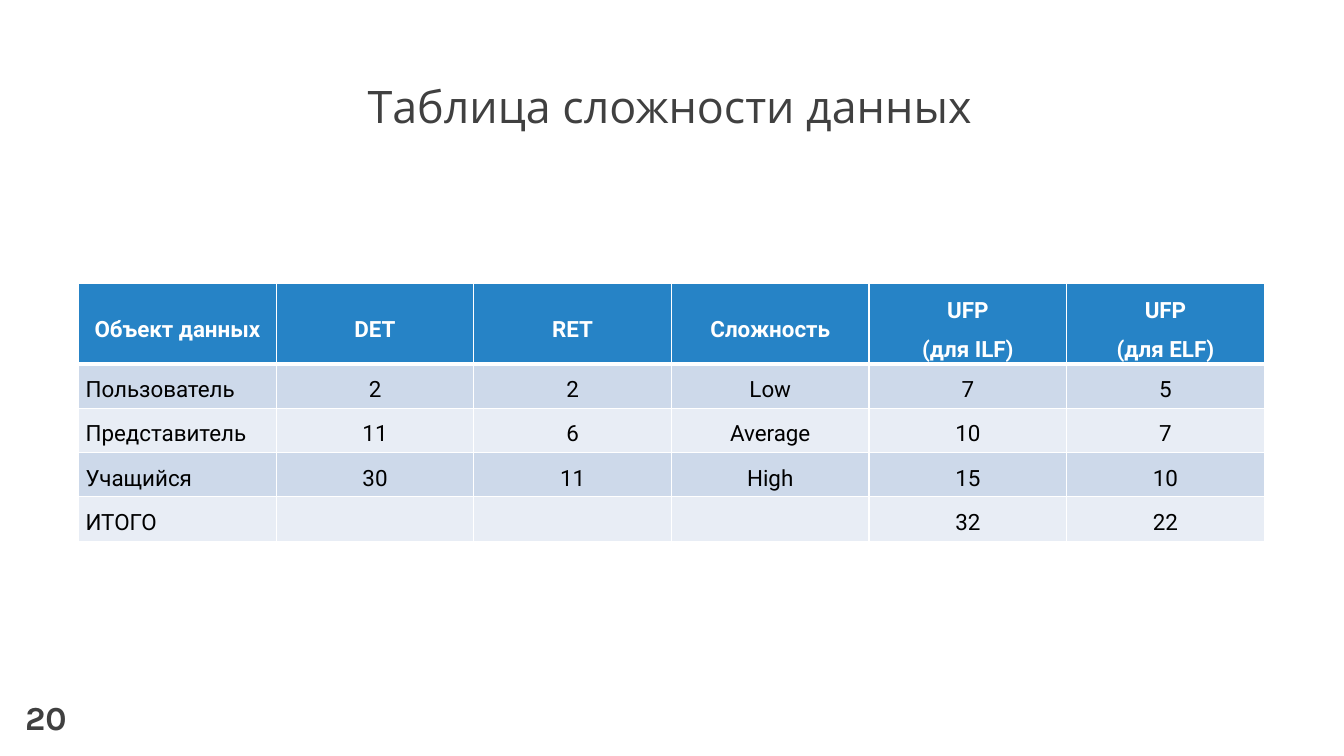
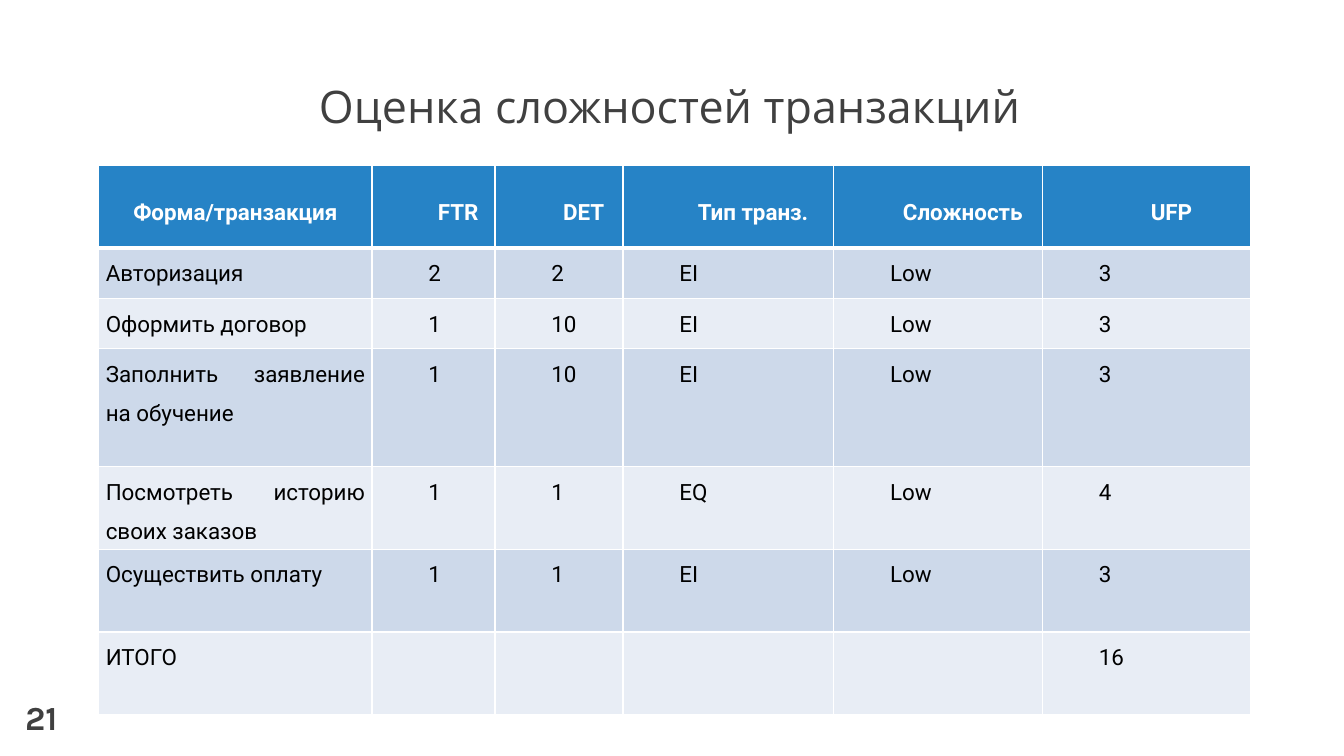
from dataclasses import dataclass

from lxml.etree import SubElement
from pptx import Presentation
from pptx.dml.color import RGBColor as RGB
from pptx.enum.text import MSO_ANCHOR as Anchor, PP_ALIGN as Align
from pptx.oxml.ns import qn
from pptx.util import Inches, Pt


@dataclass(frozen=True)
class Theme:
    title_font: str = "Open Sans"
    table_font: str = "Roboto"
    number_font: str = "Karla"
    title_size: int = 32
    table_size: int = 16
    number_size: int = 24
    dark: str = "404040"
    black: str = "000000"
    white: str = "FFFFFF"
    header: str = "2683C6"
    bands: tuple = ("CDD9EA", "E8EDF5")
    thin: int = 1
    thick: int = 3
    cell_margin: float = 0.07
    title_spacing: float = 0.9
    table_spacing: float = 1.5


THEME = Theme()


def style_runs(p, font, size, color, bold=False):
    for r in p.runs:
        r.font.name = font
        r.font.size = Pt(size)
        r.font.bold = bold
        r.font.color.rgb = RGB.from_string(color)


def add_text(s, box, text, font, size, bold=False, anchor=Anchor.TOP):
    tf = s.shapes.add_textbox(*map(Inches, box)).text_frame
    tf.word_wrap = True
    tf.vertical_anchor = anchor
    tf.text = text
    p = tf.paragraphs[0]
    style_runs(p, font, size, THEME.dark, bold)
    return p


def add_slide(prs, title, number):
    s = prs.slides.add_slide(prs.slide_layouts[6])
    p = add_text(s, (0.87, 0.13, 11.55, 1.24), title,
                 THEME.title_font, THEME.title_size, anchor=Anchor.BOTTOM)
    p.alignment = Align.CENTER
    p.line_spacing = THEME.title_spacing
    add_text(s, (0.15, 6.86, 0.63, 0.5), str(number),
             THEME.number_font, THEME.number_size, bold=True)
    return s


def set_borders(cell, top, bottom):
    tc_pr = cell._tc.get_or_add_tcPr()
    widths = {"a:lnL": THEME.thin, "a:lnR": THEME.thin,
              "a:lnT": top, "a:lnB": bottom}
    for tag, width in widths.items():
        ln = SubElement(tc_pr, qn(tag), w=str(Pt(width)))
        fill = SubElement(ln, qn("a:solidFill"))
        SubElement(fill, qn("a:srgbClr"), val=THEME.white)


def fill_cell(cell, text, row, align, indent):
    is_header = row == 0
    set_borders(cell,
                THEME.thick if row == 1 else THEME.thin,
                THEME.thick if is_header else THEME.thin)
    cell.fill.solid()
    cell.fill.fore_color.rgb = RGB.from_string(
        THEME.header if is_header else THEME.bands[(row - 1) % 2])
    cell.margin_left = cell.margin_right = Inches(THEME.cell_margin)
    cell.margin_top = cell.margin_bottom = 0
    cell.vertical_anchor = Anchor.MIDDLE if is_header else Anchor.TOP
    cell.text_frame.text = text
    for p in cell.text_frame.paragraphs:
        p.alignment = Align.CENTER if is_header else align
        p.line_spacing = THEME.table_spacing
        if indent:
            p._p.get_or_add_pPr().set("indent", str(Inches(indent)))
        style_runs(p, THEME.table_font, THEME.table_size,
                   THEME.white if is_header else THEME.black, is_header)


def add_table(s, left, top, cols, heights, data, value_align, value_indent=0):
    frame = s.shapes.add_table(len(data), len(cols), Inches(left), Inches(top),
                               Inches(sum(cols)), Inches(sum(heights)))
    table = frame.table
    table.first_row = table.horz_banding = False
    for column, width in zip(table.columns, cols):
        column.width = Inches(width)
    for row, height in zip(table.rows, heights):
        row.height = Inches(height)
    for i, values in enumerate(data):
        for j, text in enumerate(values):
            align, indent = (value_align, value_indent) if j else (Align.JUSTIFY, 0)
            fill_cell(table.cell(i, j), text, i, align, indent)


def data_slide(prs):
    s = add_slide(prs, "Таблица сложности данных", 20)
    data = [
        ("Объект данных", "DET", "RET", "Сложность", "UFP\n(для ILF)", "UFP\n(для ELF)"),
        ("Пользователь", "2", "2", "Low", "7", "5"),
        ("Представитель", "11", "6", "Average", "10", "7"),
        ("Учащийся", "30", "11", "High", "15", "10"),
        ("ИТОГО", "", "", "", "32", "22"),
    ]
    add_table(s, 0.78, 2.81, [1.96] * 6, [0.76] + [0.44] * 4, data, Align.CENTER)


def transaction_slide(prs):
    s = add_slide(prs, "Оценка сложностей транзакций", 21)
    data = [
        ("Форма/транзакция", "FTR", "DET", "Тип транз.", "Сложность", "UFP"),
        ("Авторизация", "2", "2", "EI", "Low", "3"),
        ("Оформить договор", "1", "10", "EI", "Low", "3"),
        ("Заполнить заявление на обучение", "1", "10", "EI", "Low", "3"),
        ("Посмотреть историю своих заказов", "1", "1", "EQ", "Low", "4"),
        ("Осуществить оплату", "1", "1", "EI", "Low", "3"),
        ("ИТОГО", "", "", "", "", "16"),
    ]
    add_table(s, 0.98, 1.64, [2.71, 1.22, 1.27, 2.09, 2.07, 2.07],
              [0.82, 0.5, 0.5, 1.17] + [0.82] * 3, data, Align.JUSTIFY, 0.49)


def main():
    prs = Presentation()
    prs.slide_width = Inches(13.33)
    prs.slide_height = Inches(7.5)
    data_slide(prs)
    transaction_slide(prs)
    prs.save("out.pptx")


if __name__ == "__main__":
    main()
